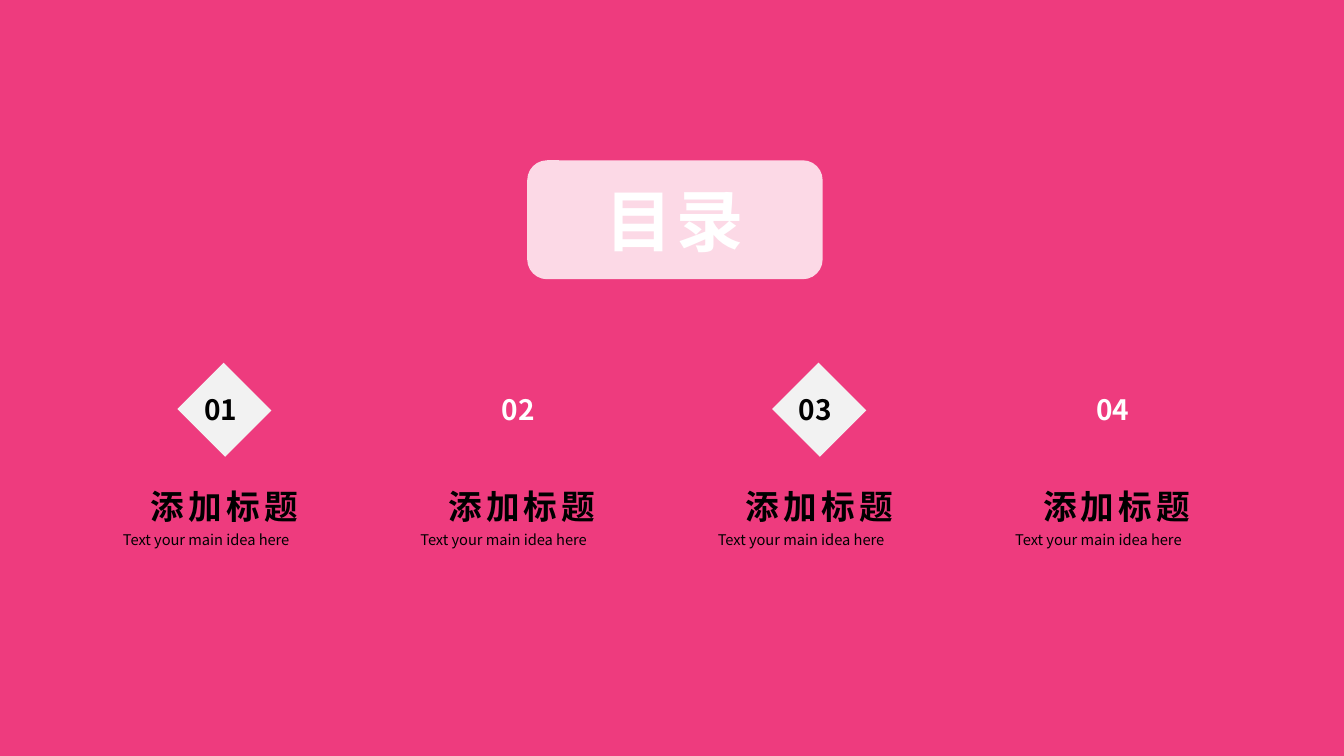
import pptx
import pptx.util
import pptx.dml.color
import pptx.enum.shapes
import pptx.enum.text
import pptx.oxml
import pptx.oxml.ns

RGB = pptx.dml.color.RGBColor
SHAPE = pptx.enum.shapes.MSO_SHAPE
ALIGN = pptx.enum.text.PP_ALIGN
ANCHOR = pptx.enum.text.MSO_ANCHOR

PINK = RGB(0xEE, 0x3B, 0x7E)
PALE_PINK = RGB(0xFC, 0xD9, 0xE6)
LIGHT_GREY = RGB(0xF2, 0xF2, 0xF2)
WHITE = RGB(0xFF, 0xFF, 0xFF)
BLACK = RGB(0, 0, 0)
FONT = "Noto Sans CJK JP"


def write(tf, text, size, color=BLACK, bold=False, align=ALIGN.CENTER,
          anchor=ANCHOR.TOP, spacing=0, inset=None):
    tf.word_wrap = True
    tf.auto_size = pptx.enum.text.MSO_AUTO_SIZE.NONE
    tf.vertical_anchor = anchor
    if inset is not None:
        tf.margin_left = tf.margin_right = inset
        tf.margin_top = tf.margin_bottom = inset
    p = tf.paragraphs[0]
    p.alignment = align
    p.line_spacing = 1.0
    r = p.add_run()
    r.text = text
    r.font.name = FONT
    r.font.size = pptx.util.Pt(size)
    r.font.bold = bold
    r.font.color.rgb = color
    rPr = r.font._element
    if spacing:
        rPr.set("spc", str(spacing * 100))
    ea = pptx.oxml.parse_xml(
        f'<a:ea {pptx.oxml.ns.nsdecls("a")} typeface="{FONT}"/>')
    rPr.find(pptx.oxml.ns.qn("a:latin")).addnext(ea)


class Deck:
    def __init__(self, width, height):
        self.prs = pptx.Presentation()
        self.prs.slide_width = pptx.util.Inches(width)
        self.prs.slide_height = pptx.util.Inches(height)

    def slide(self, color):
        self.s = self.prs.slides.add_slide(self.prs.slide_layouts[5])
        self.s.background.fill.solid()
        self.s.background.fill.fore_color.rgb = color

    def box(self, x, y, w, h):
        across, down = self.prs.slide_width / 100, self.prs.slide_height / 100
        return [round(v) for v in (x * across, y * down, w * across, h * down)]

    def group(self):
        return self.s.shapes.add_group_shape()

    def shape(self, kind, box, color, parent=None, rotation=0):
        sp = (parent or self.s).shapes.add_shape(kind, *self.box(*box))
        sp.shadow.inherit = False
        sp.fill.solid()
        sp.fill.fore_color.rgb = color
        sp.line.fill.background()
        sp.rotation = rotation
        return sp

    def text(self, box, text, size, parent=None, **style):
        sp = (parent or self.s).shapes.add_textbox(*self.box(*box))
        write(sp.text_frame, text, size, **style)

    def title(self, box, text, size, color):
        panel = self.shape(SHAPE.ROUNDED_RECTANGLE, box, PALE_PINK)
        sp = self.s.shapes.title
        sp.left, sp.top, sp.width, sp.height = self.box(*box)
        write(sp.text_frame, text, size, color=color, bold=True,
              anchor=ANCHOR.MIDDLE, spacing=3)
        panel._element.addnext(sp._element)

    def entry(self, x, number, diamond_color, number_color):
        g = self.group()
        self.shape(SHAPE.RECTANGLE, (x + 5.03, 49.87, 5.03, 8.67),
                   diamond_color, parent=g, rotation=45)
        self.text((x + 5.18, 51.2, 4.65, 10.27), f"{number:02d} ", 20,
                  parent=g, color=number_color, bold=True)
        self.text((x + 0.08, 63.6, 14.93, 6.67), "添加标题", 24,
                  parent=g, bold=True, spacing=3)
        self.text((x, 70.27, 15.08, 2.4), "Text your main idea here", 10.5,
                  parent=g, align=ALIGN.JUSTIFY, inset=0)


def main():
    deck = Deck(13.33, 7.5)
    deck.slide(PINK)
    deck.title((39.23, 21.2, 21.98, 15.73), "目录", 48, WHITE)
    left, pitch = 9.15, 22.13
    schemes = [(LIGHT_GREY, BLACK), (PINK, WHITE)]
    for i in range(4):
        deck.entry(left + i * pitch, i + 1, *schemes[i % 2])
    for y in (3.2, 96.27):
        deck.shape(SHAPE.RECTANGLE, (1.35, y, 96.85, 2.13), PINK)
    deck.prs.save("out.pptx")


if __name__ == "__main__":
    main()
